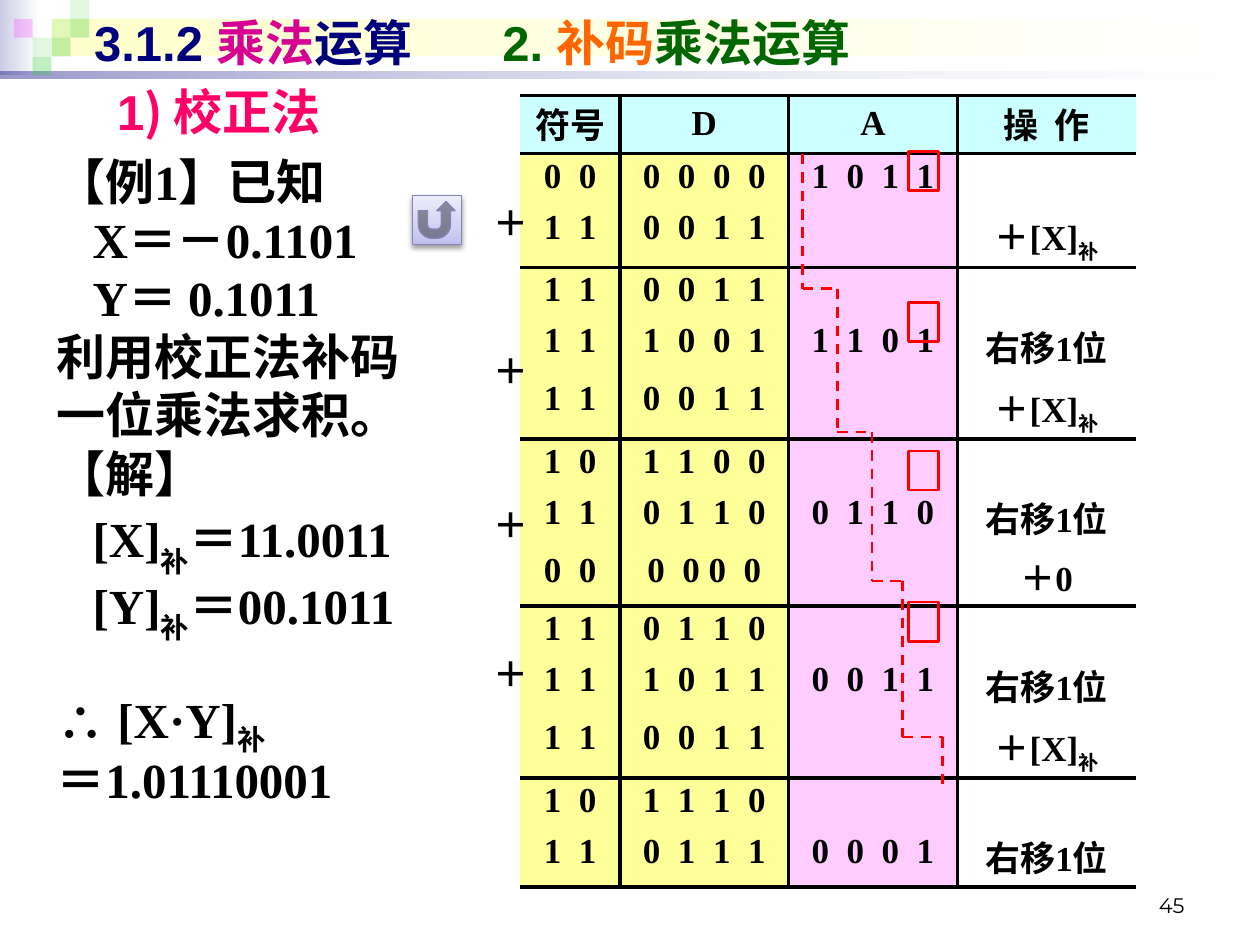
import pptx
import pptx.dml.color
import pptx.enum.dml
import pptx.enum.shapes
import pptx.enum.text
import pptx.oxml
import pptx.oxml.ns
import pptx.util

Cm = pptx.util.Cm
Pt = pptx.util.Pt
SHAPE = pptx.enum.shapes.MSO_SHAPE
ALIGN = pptx.enum.text.PP_ALIGN
ANCHOR = pptx.enum.text.MSO_ANCHOR

COLORS = {
    "black": "000000", "white": "FFFFFF", "navy": "00007D", "magenta": "D60093",
    "green": "006600", "orange": "FF6600", "pink": "FF0066", "red": "FF0000",
    "lavender": "CCCCE6", "cream": "FFFFCC", "leaf": "33CC33", "violet": "FF00FF",
    "head": "CCFFFF", "yellow": "FFFF99", "rose": "FFCCFF",
    "btn_dark": "BFBFF0", "btn_mid": "D2D2F3", "btn_light": "EDEDFB", "btn_line": "8686B6",
}
CJK = "Noto Sans CJK SC"
SERIF = "Times New Roman"

HEADER = ["符号", "D", "A", "操  作"]
STEPS = [
    [("0  0", "0  0  0  0", "1  0  1  1", ""),
     ("1  1", "0  0  1  1", "", "＋[X]补")],
    [("1  1", "0  0  1  1", "", ""),
     ("1  1", "1  0  0  1", "1  1  0  1", "右移1位"),
     ("1  1", "0  0  1  1", "", "＋[X]补")],
    [("1  0", "1  1  0  0", "", ""),
     ("1  1", "0  1  1  0", "0  1  1  0", "右移1位"),
     ("0  0", "0  0 0  0", "", "＋0")],
    [("1  1", "0  1  1  0", "", ""),
     ("1  1", "1  0  1  1", "0  0  1  1", "右移1位"),
     ("1  1", "0  0  1  1", "", "＋[X]补")],
    [("1  0", "1  1  1  0", "", ""),
     ("1  1", "0  1  1  1", "0  0  0  1", "右移1位")],
]
INDENT = 0.73
BODY = [
    ("【例1】已知", 0, 0), ("X＝－0.1101", INDENT, 6.5), ("Y＝ 0.1011", INDENT, 6.5),
    ("利用校正法补码", 0, 6.5), ("一位乘法求积。", 0, 6.5), ("【解】", 0, 6.5),
    ("[X]补＝11.0011", INDENT, 6.5), ("[Y]补＝00.1011", INDENT, 6.5),
    ("∴ [X·Y]补", 0, 34.5), ("＝1.01110001", 0, 6.5),
]


def rgb(name):
    return pptx.dml.color.RGBColor.from_string(COLORS[name])


def xml(body):
    ns = pptx.oxml.ns.nsdecls("a")
    head, sep, tail = body.partition(">")
    if head.endswith("/"):
        return pptx.oxml.parse_xml(f"{head[:-1]} {ns}/>{tail}")
    return pptx.oxml.parse_xml(f"{head} {ns}{sep}{tail}")


def add_run(p, text, size=20, color="black", font=SERIF, bold=True, baseline=0):
    r = p.add_run()
    r.text = text
    r.font.size, r.font.bold, r.font.name = Pt(size), bold, font
    r.font.color.rgb = rgb(color)
    rpr = r.font._element
    rpr.find(pptx.oxml.ns.qn("a:latin")).addnext(xml(f'<a:ea typeface="{CJK}"/>'))
    if baseline:
        rpr.set("baseline", str(baseline * 1000))


def add_formula(p, text, baseline=-25, **fmt):
    head, mark, tail = text.partition("]补")
    if not mark:
        add_run(p, text, **fmt)
        return
    add_run(p, head + "]", **fmt)
    add_run(p, "补", baseline=baseline, **fmt)
    if tail:
        add_run(p, tail, **fmt)


def add_box(s, x, y, w, h, anchor=ANCHOR.TOP, align=ALIGN.LEFT):
    tf = s.shapes.add_textbox(Cm(x), Cm(y), Cm(w), Cm(h)).text_frame
    tf.word_wrap = True
    tf.vertical_anchor = anchor
    tf.paragraphs[0].alignment = align
    return tf


def add_shape(s, x, y, w, h, kind=SHAPE.RECTANGLE, fill=None, alpha=100, line=None, width=1.5):
    sp = s.shapes.add_shape(kind, Cm(x), Cm(y), Cm(w), Cm(h))
    sp.shadow.inherit = False
    if fill:
        sp.fill.solid()
        sp.fill.fore_color.rgb = rgb(fill)
        clr = sp._element.spPr.find(".//" + pptx.oxml.ns.qn("a:srgbClr"))
        if alpha < 100:
            clr.append(xml(f'<a:alpha val="{alpha * 1000}"/>'))
    else:
        sp.fill.background()
    if line:
        sp.line.color.rgb = rgb(line)
        sp.line.width = Pt(width)
    else:
        sp.line.fill.background()
    return sp


def set_gradient(sp, stops, angle=0):
    gs = "".join(
        f'<a:gs pos="{pos * 1000}"><a:srgbClr val="{COLORS[c]}">'
        f'<a:alpha val="{alpha * 1000}"/></a:srgbClr></a:gs>' for pos, c, alpha in stops)
    grad = xml(f'<a:gradFill><a:gsLst>{gs}</a:gsLst><a:lin ang="{angle * 60000}" scaled="0"/></a:gradFill>')
    pr = sp._element.spPr
    pr.replace(pr.find(pptx.oxml.ns.qn("a:noFill")), grad)


def add_dash(s, start, end):
    c = s.shapes.add_connector(pptx.enum.shapes.MSO_CONNECTOR.STRAIGHT, *map(Cm, start + end))
    c.line.color.rgb = rgb("red")
    c.line.width = Pt(1.5)
    c.line.dash_style = pptx.enum.dml.MSO_LINE.DASH
    c._element.spPr.append(xml("<a:effectLst/>"))


def add_banner(s):
    for box, color, alphas in [((0, 0, 0.79, 1.52), "lavender", (100, 100)),
                               ((1.04, 0.38, 24.26, 0.76), "cream", (100, 100)),
                               ((0, 1.45, 25.4, 0.13), "navy", (40, 10))]:
        set_gradient(add_shape(s, *box), [(0, color, alphas[0]), (100, "white", alphas[1])])
    side = 0.38
    for col, row, color, alpha in [(2, 1, "leaf", 15), (3, 0, "leaf", 15), (3, 1, "leaf", 30),
                                   (1, 2, "leaf", 15), (0, 1, "violet", 20),
                                   (2, 2, "leaf", 30), (1, 3, "leaf", 30)]:
        add_shape(s, 0.28 + col * side, row * side, side, side, fill=color, alpha=alpha)


def add_headings(s):
    p = add_box(s, 1.65, 0.13, 22.86, 1.45, ANCHOR.MIDDLE).paragraphs[0]
    ppr = p._p.get_or_add_pPr()
    ppr.append(xml(f'<a:tabLst><a:tab pos="{Cm(8.23)}" algn="l"/></a:tabLst>'))
    for text, color in [("3.1.2 ", "navy"), ("乘法", "magenta"), ("运算\t", "navy"),
                        ("2. ", "green"), ("补码", "orange"), ("乘法运算", "green")]:
        add_run(p, text, size=28, color=color, font="Arial")
    p = add_box(s, 2.11, 1.52, 22.25, 1.45, ANCHOR.MIDDLE).paragraphs[0]
    for text, font in [("1", "Arial"), (") ", CJK), ("校正法", "Arial")]:
        add_run(p, text, size=28, color="pink", font=font)


def add_body(s):
    tf = add_box(s, 0.89, 3.15, 9.6, 15.4)
    for i, (text, indent, before) in enumerate(BODY):
        p = tf.add_paragraph() if i else tf.paragraphs[0]
        p._p.get_or_add_pPr().set("marL", str(Cm(indent)))
        p.line_spacing = 0.8
        p.space_before = Pt(before)
        add_formula(p, text, baseline=-25 if "∴" in text else -30, size=28)


def set_borders(cell, sides):
    tcpr = cell._tc.get_or_add_tcPr()
    for side in "LRTB":
        paint = f'<a:solidFill><a:srgbClr val="{COLORS["black"]}"/></a:solidFill>' if side in sides else "<a:noFill/>"
        tcpr.append(xml(f'<a:ln{side} w="{Pt(2.25)}">{paint}</a:ln{side}>'))


def row_height(operation):
    if not operation:
        return 1.03
    return 1.26 if "补" in operation else 1.17


def add_steps_table(s):
    rows = [(HEADER, "TB")]
    for step in STEPS:
        for i, row in enumerate(step):
            rows.append((row, ("T" if i == 0 else "") + ("B" if i == len(step) - 1 else "")))
    widths = [2.01, 3.4, 3.4, 3.6]
    heights = [row_height(row[3]) for row, _ in rows]
    frame = s.shapes.add_table(len(rows), 4, Cm(10.49), Cm(1.93), Cm(sum(widths)), Cm(sum(heights)))
    table = frame.table
    table.first_row = table.horz_banding = False
    for col, width in zip(table.columns, widths):
        col.width = Cm(width)
    for r, (row, edges) in enumerate(rows):
        table.rows[r].height = Cm(heights[r])
        for c, text in enumerate(row):
            cell = table.cell(r, c)
            set_borders(cell, edges + ("L" if c else "") + ("R" if c < 3 else ""))
            fill = ["yellow", "yellow", "rose", None][c] if r else "head"
            if fill:
                cell.fill.solid()
                cell.fill.fore_color.rgb = rgb(fill)
            else:
                cell.fill.background()
            cell.vertical_anchor = ANCHOR.TOP if r else ANCHOR.MIDDLE
            p = cell.text_frame.paragraphs[0]
            p.alignment, p.line_spacing = ALIGN.CENTER, 0.9
            if text:
                add_formula(p, text)


def add_marks(s):
    xs = [16.18, 16.88, 17.58, 18.19, 19.0]
    ys = [3.1, 5.82, 8.71, 11.71, 14.86, 15.9]
    corners = [(xs[0], ys[0])]
    for i, x in enumerate(xs):
        corners += [(x, ys[i]), (x, ys[i + 1])] if i else [(x, ys[1])]
    for start, end in zip(corners, corners[1:]):
        add_dash(s, start, end)
    for y in (3.05, 6.1, 9.09, 12.14):
        add_shape(s, 18.31, y, 0.61, 0.79, line="red")
    for y in (3.94, 6.93, 10.03, 13.03):
        add_run(add_box(s, 9.7, y, 1.19, 1.09, align=ALIGN.CENTER).paragraphs[0], "＋")


def add_return_button(s):
    sp = add_shape(s, 8.31, 3.94, 0.99, 0.99, SHAPE.ACTION_BUTTON_RETURN, line="btn_line", width=0.75)
    set_gradient(sp, [(0, "btn_dark", 100), (35, "btn_mid", 100), (100, "btn_light", 100)], 270)
    effects = sp._element.spPr.find(pptx.oxml.ns.qn("a:effectLst"))
    effects.append(xml(
        f'<a:outerShdw blurRad="{Pt(3.1)}" dist="{Pt(1.6)}" dir="5400000" rotWithShape="0">'
        f'<a:srgbClr val="{COLORS["black"]}"><a:alpha val="38000"/></a:srgbClr></a:outerShdw>'))


def main():
    prs = pptx.Presentation()
    prs.slide_width, prs.slide_height = Cm(25.4), Cm(19.05)
    s = prs.slides.add_slide(prs.slide_layouts[6])
    add_banner(s)
    p = add_box(s, 18.21, 17.35, 5.92, 1.27, ANCHOR.BOTTOM, ALIGN.RIGHT).paragraphs[0]
    add_run(p, "45", size=12, font="Montserrat", bold=False)
    add_headings(s)
    add_body(s)
    add_steps_table(s)
    add_marks(s)
    add_return_button(s)
    prs.save("out.pptx")


if __name__ == "__main__":
    main()
